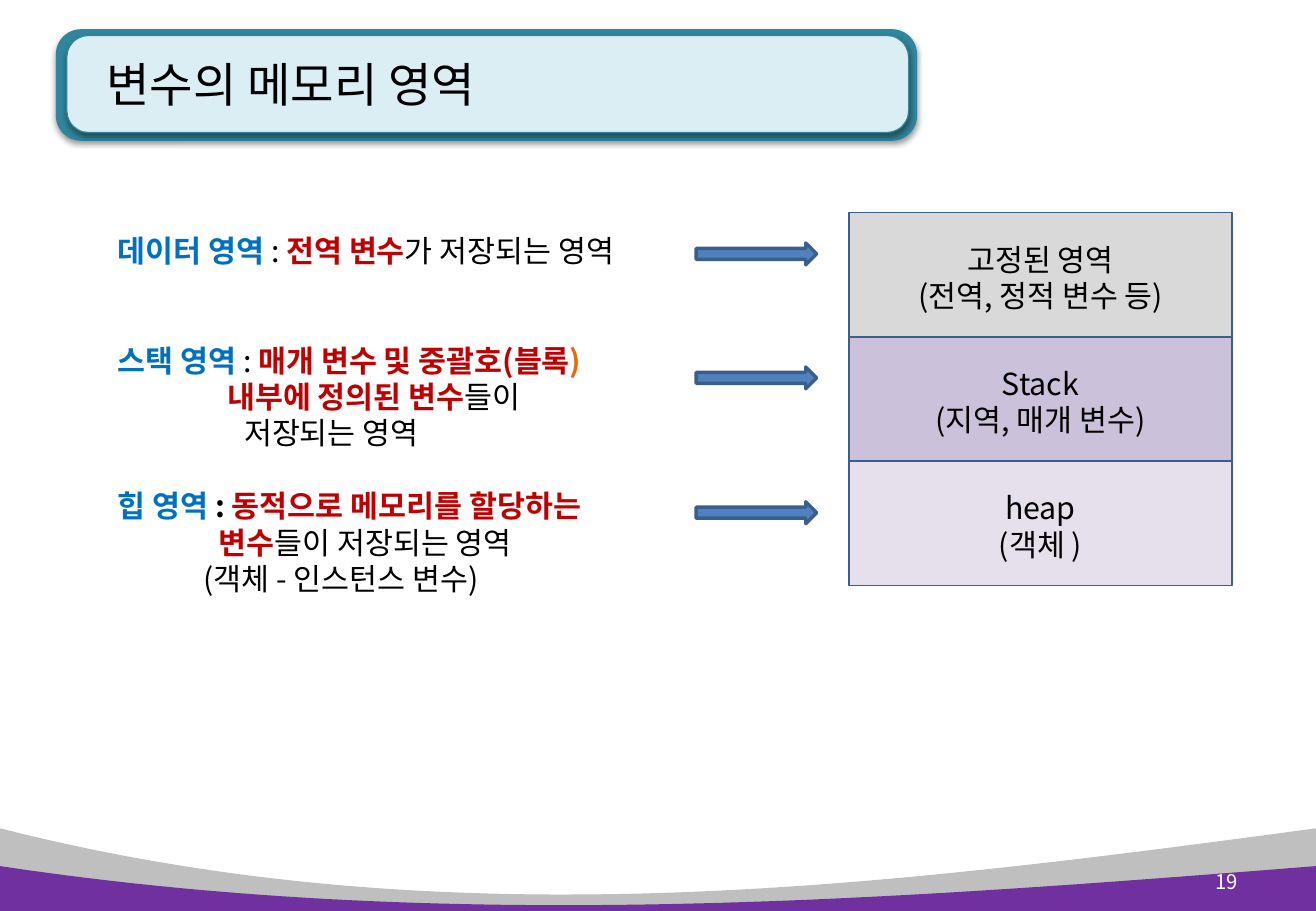
from dataclasses import dataclass

from lxml.etree import SubElement as Sub
from pptx import Presentation as Deck
from pptx.dml.color import RGBColor as RGB
from pptx.enum.shapes import MSO_SHAPE as Shape
from pptx.enum.text import MSO_ANCHOR as Anchor, PP_ALIGN as Align
from pptx.oxml.ns import qn
from pptx.util import Pt


@dataclass(frozen=True)
class Theme:
    """Colours, font and type sizes of the slide."""
    font: str = "Noto Sans CJK KR"
    head: float = 28
    body: float = 18
    note: float = 12
    line: float = 21.6
    black: str = "000000"
    white: str = "FFFFFF"
    blue: str = "0070C0"
    red: str = "C00000"
    amber: str = "E46C0A"
    teal: str = "31859C"
    pale: str = "DBEEF4"
    gray: str = "BFBFBF"
    plum: str = "7030A0"
    arrow: str = "4F81BD"
    edge: str = "3A5F8C"
    fixed: str = "D9D9D9"
    stack: str = "CCC1DA"
    heap: str = "E6E0EC"


LOOK = Theme()
WIDE, HIGH = 780, 540

NOTES = [
    (0, 0, [("데이터 영역 ", LOOK.blue, True), (": ", LOOK.black, False),
            ("전역 변수", LOOK.red, True), ("가 저장되는 영역", LOOK.black, False)]),
    (2, 0, [("스택 영역 ", LOOK.blue, True), (": ", LOOK.black, False),
            ("매개 변수 및 중괄호(블록", LOOK.red, True), (")", LOOK.amber, True)]),
    (0, 65, [("내부에 정의된 변수", LOOK.red, True), ("들이", LOOK.black, False)]),
    (0, 75, [("저장되는 영역", LOOK.black, False)]),
    (1, 0, [("힙 영역 ", LOOK.blue, True), (": ", LOOK.black, True),
            ("동적으로 메모리를 할당하는", LOOK.red, True)]),
    (0, 60, [("변수", LOOK.red, True), ("들이 저장되는 영역", LOOK.black, False)]),
    (0, 51, [("(객체 - 인스턴스 변수)", LOOK.black, False)]),
]
CELLS = [
    ("고정된 영역\n(전역, 정적 변수 등)", LOOK.fixed),
    ("Stack\n(지역, 매개 변수)", LOOK.stack),
    ("heap\n(객체 )", LOOK.heap),
]


def style(run, size, color, bold=False):
    """Format one run."""
    font = run.font
    font.name, font.size, font.bold = LOOK.font, Pt(size), bold
    font.color.rgb = RGB.from_string(color)
    Sub(font._element, qn("a:ea"), typeface=LOOK.font)


def paint(shape, fill, edge=None, width=1):
    """Set fill and line and drop the shadow."""
    shape.shadow.inherit = False
    shape.fill.solid()
    shape.fill.fore_color.rgb = RGB.from_string(fill)
    if edge:
        shape.line.color.rgb = RGB.from_string(edge)
        shape.line.width = Pt(width)
    else:
        shape.line.fill.background()


def block(shapes, kind, box, fill, edge=None, width=1):
    """Add a painted preset shape."""
    shape = shapes.add_shape(kind, *map(Pt, box))
    paint(shape, fill, edge, width)
    return shape


def panel(shapes, box, fill, edge=None):
    """Add a rounded panel with a soft shadow."""
    shape = block(shapes, Shape.ROUNDED_RECTANGLE, box, fill, edge, 0.75)
    shape.adjustments[0] = 0.225
    glow = shape._element.spPr.find(qn("a:effectLst"))
    shade = Sub(glow, qn("a:outerShdw"), blurRad=str(Pt(3.1)), dist=str(Pt(1.6)),
                dir="5400000", rotWithShape="0")
    tone = Sub(shade, qn("a:srgbClr"), val=LOOK.black)
    Sub(tone, qn("a:alpha"), val="38000")


def wave(shapes, heights, fill):
    """Add a band whose top edge is a cubic curve."""
    xs, steps = (0, 263, 518, WIDE), 60

    def curve(ends, t):
        """Return the cubic value at t."""
        a, b, c, d = ends
        u = 1 - t
        return a * u**3 + 3 * b * u * u * t + 3 * c * u * t * t + d * t**3

    dots = [(Pt(curve(xs, i / steps)), Pt(curve(heights, i / steps)))
            for i in range(steps + 1)]
    form = shapes.build_freeform(*dots[0])
    form.add_line_segments(dots[1:] + [(Pt(WIDE), Pt(HIGH)), (0, Pt(HIGH))])
    paint(form.convert_to_shape(), fill)


def title(shape, text):
    """Place and format the title."""
    shape.left, shape.top, shape.width, shape.height = map(Pt, (49.7, 15.8, 488, 67.7))
    frame = shape.text_frame
    frame.text = text
    frame.vertical_anchor = Anchor.MIDDLE
    frame.margin_left = Pt(13.5)
    para = frame.paragraphs[0]
    para.alignment = Align.LEFT
    style(para.runs[0], LOOK.head, LOOK.black)
    shape.element.getparent().append(shape.element)


def notes(shapes):
    """Add the text on the three memory areas."""
    frame = shapes.add_textbox(*map(Pt, (62.6, 134.2, 361.4, 224))).text_frame
    frame.word_wrap = True
    frame.text = "\n".join([""] * len(NOTES))
    for para, (gap, inset, parts) in zip(frame.paragraphs, NOTES):
        para.line_spacing = Pt(LOOK.line)
        para.space_before = Pt(gap * LOOK.line)
        para._p.get_or_add_pPr().set("marL", str(Pt(inset)))
        for text, color, bold in parts:
            run = para.add_run()
            run.text = text
            style(run, LOOK.body, color, bold)


def cell(shapes, row, text, fill):
    """Add one memory cell."""
    high = 73.7
    box = (503.3, 126 + row * high, 226.8, high)
    frame = block(shapes, Shape.RECTANGLE, box, fill, LOOK.edge).text_frame
    frame.text = text
    frame.vertical_anchor = Anchor.MIDDLE
    frame.margin_top = Pt(6.6)
    for para in frame.paragraphs:
        para.alignment = Align.CENTER
        para.line_spacing = Pt(LOOK.line)
        style(para.runs[0], LOOK.body, LOOK.black)


def number(shapes, text):
    """Add the page number."""
    frame = shapes.add_textbox(*map(Pt, (697, 508.3, 43.9, 28.8))).text_frame
    frame.word_wrap = True
    frame.text = text
    frame.vertical_anchor = Anchor.MIDDLE
    para = frame.paragraphs[0]
    para.alignment = Align.RIGHT
    style(para.runs[0], LOOK.note, LOOK.white)


def main():
    """Build and save the slide."""
    deck = Deck()
    deck.slide_width, deck.slide_height = Pt(WIDE), Pt(HIGH)
    slide = deck.slides.add_slide(deck.slide_layouts[5])
    shapes = slide.shapes
    wave(shapes, (491, 558, 526.3, 491), LOOK.gray)
    panel(shapes, (33.1, 17.3, 510.5, 66.2), LOOK.teal)
    panel(shapes, (39.6, 21, 499, 57.6), LOOK.pale, LOOK.teal)
    wave(shapes, (513.4, 553, 534.2, 513.4), LOOK.plum)
    title(shapes.title, "변수의 메모리 영역")
    number(shapes, "19")
    notes(shapes)
    for top in (144, 217.5, 297.4):
        block(shapes, Shape.RIGHT_ARROW, (412.6, top, 71.5, 13), LOOK.arrow, LOOK.edge, 2)
    for row, (text, fill) in enumerate(CELLS):
        cell(shapes, row, text, fill)
    deck.save("out.pptx")


if __name__ == "__main__":
    main()
